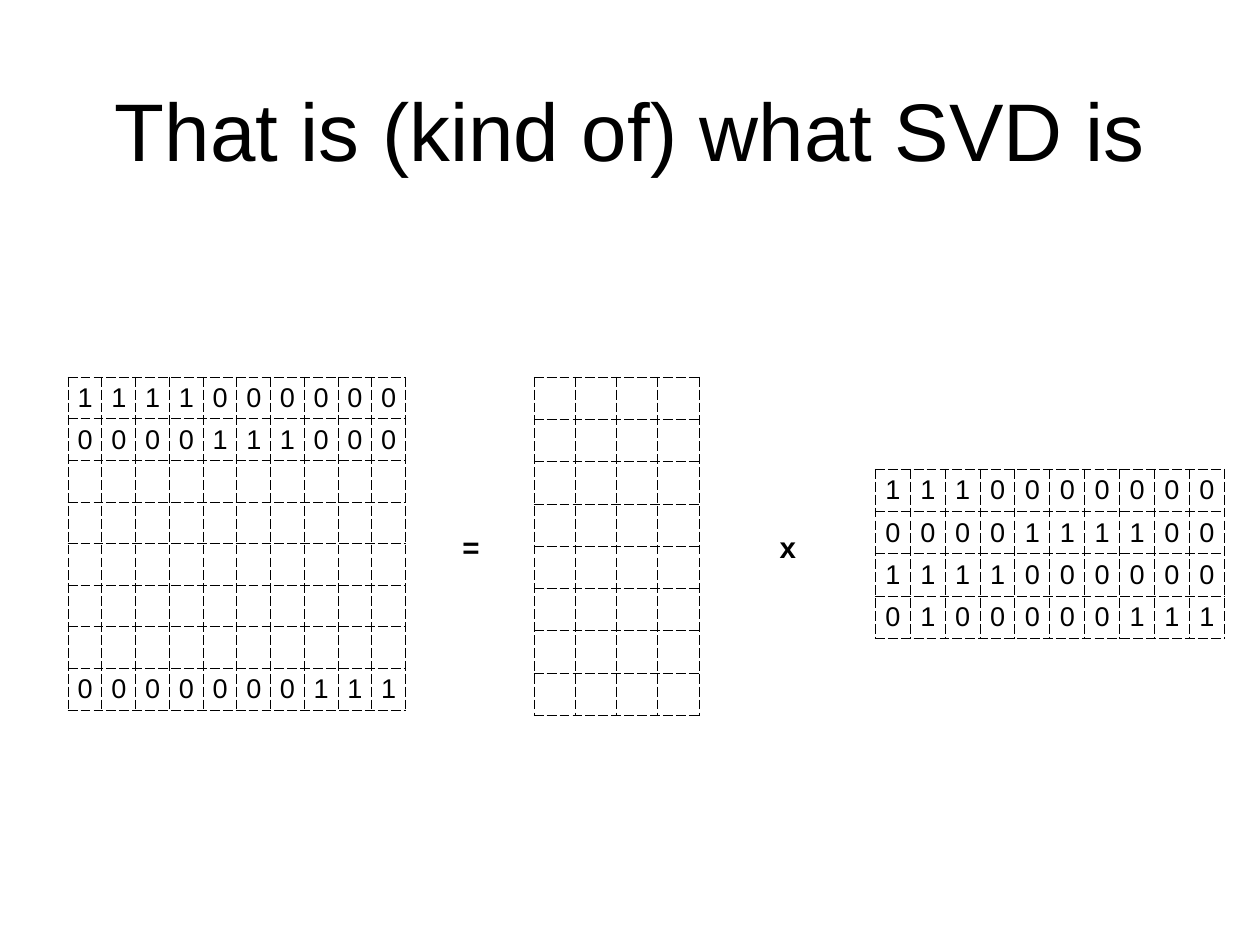
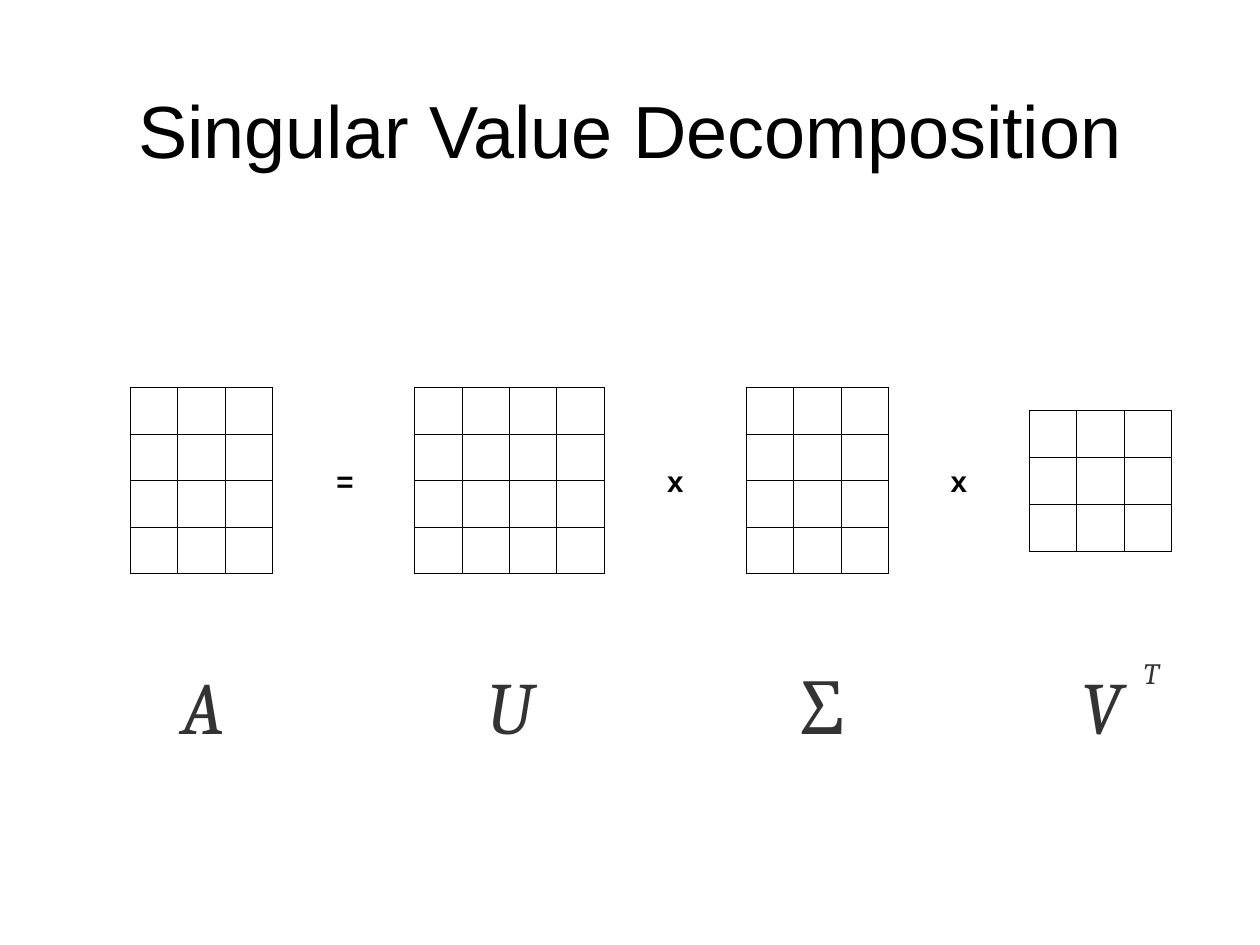
from dataclasses import dataclass

from lxml.etree import SubElement
from pptx import Presentation
from pptx.dml.color import RGBColor
from pptx.enum.text import MSO_ANCHOR, MSO_AUTO_SIZE, PP_ALIGN
from pptx.oxml.ns import qn
from pptx.util import Inches, Pt

COLORS = {"ink": "000000", "symbol": "333333"}
INSET = Inches(0.06)


@dataclass
class Matrix:
    """A grid of cells; values maps a row index to its digits."""
    left: float
    top: float
    width: float
    height: float
    rows: int
    cols: int
    values: dict[int, str] | None = None


@dataclass
class Label:
    text: str
    left: float
    top: float
    width: float
    height: float = 0.5


def put_text(tf, text: str, *, size: float, font: str = "Arial", color: str = "ink",
             bold: bool = False, italic: bool = False, align=PP_ALIGN.CENTER) -> None:
    p = tf.paragraphs[0]
    p.alignment = align
    r = p.add_run()
    r.text = text
    f = r.font
    f.name, f.size, f.bold, f.italic = font, Pt(size), bold, italic
    f.color.rgb = RGBColor.from_string(COLORS[color])


def add_label(s, label: Label, *, wrap: bool = False, **fmt) -> None:
    tf = s.shapes.add_textbox(Inches(label.left), Inches(label.top),
                              Inches(label.width), Inches(label.height)).text_frame
    tf.word_wrap = wrap
    tf.auto_size = MSO_AUTO_SIZE.NONE if wrap else MSO_AUTO_SIZE.SHAPE_TO_FIT_TEXT
    tf.vertical_anchor = MSO_ANCHOR.MIDDLE
    tf.margin_left = tf.margin_right = tf.margin_top = tf.margin_bottom = INSET
    put_text(tf, label.text, **fmt)


def set_borders(cell, dash: str) -> None:
    tc_pr = cell._tc.get_or_add_tcPr()
    for side in ("a:lnL", "a:lnR", "a:lnT", "a:lnB"):
        ln = SubElement(tc_pr, qn(side), w=str(Pt(1)))
        fill = SubElement(ln, qn("a:solidFill"))
        SubElement(fill, qn("a:srgbClr"), val=COLORS["ink"])
        SubElement(ln, qn("a:prstDash"), val=dash)


def add_matrix(s, m: Matrix, dash: str) -> None:
    table = s.shapes.add_table(m.rows, m.cols, Inches(m.left), Inches(m.top),
                               Inches(m.width), Inches(m.height)).table
    table.first_row = table.horz_banding = False
    for row in table.rows:
        row.height = Inches(m.height / m.rows)
    for col in table.columns:
        col.width = Inches(m.width / m.cols)
    for cell in table.iter_cells():
        set_borders(cell, dash)
        cell.fill.background()
        cell.vertical_anchor = MSO_ANCHOR.MIDDLE
        cell.margin_left = cell.margin_right = INSET
        cell.margin_top = cell.margin_bottom = INSET
    for i, digits in (m.values or {}).items():
        for j, digit in enumerate(digits):
            put_text(table.cell(i, j).text_frame, digit, size=22)


def add_equation(prs, title: str, title_size: float, matrices: list[Matrix],
                 operators: list[Label], dash: str):
    """Add a titled slide with matrices and the operators between them."""
    s = prs.slides.add_slide(prs.slide_layouts[6])
    add_label(s, Label(title, 1.04, 0.28, 12.14, 2.36), wrap=True, size=title_size)
    for m in matrices:
        add_matrix(s, m, dash)
    for op in operators:
        add_label(s, op, size=24, bold=True)
    return s


def main() -> None:
    prs = Presentation()
    prs.slide_width, prs.slide_height = Inches(14.22), Inches(10.67)

    add_equation(
        prs, "That is (kind of) what SVD is", 66.4,
        [Matrix(0.77, 4.26, 3.81, 3.76, 8, 10,
                {0: "1111000000", 1: "0000111000", 7: "0000000111"}),
         Matrix(6.03, 4.26, 1.86, 3.82, 8, 4),
         Matrix(9.88, 5.3, 3.94, 1.91, 4, 10,
                {0: "1110000000", 1: "0000111100", 2: "1111000000", 3: "0100000111"})],
        [Label("=", 5.15, 5.92, 0.33), Label("x", 8.74, 5.92, 0.3)],
        dash="dash")

    s = add_equation(
        prs, "Singular Value Decomposition", 60,
        [Matrix(1.47, 4.38, 1.61, 2.1, 4, 3),
         Matrix(4.68, 4.38, 2.14, 2.1, 4, 4),
         Matrix(8.42, 4.38, 1.61, 2.1, 4, 3),
         Matrix(11.62, 4.63, 1.6, 1.6, 3, 3)],
        [Label("=", 3.73, 5.18, 0.33), Label("x", 7.47, 5.18, 0.3),
         Label("x", 10.67, 5.18, 0.3)],
        dash="solid")

    symbol = dict(font="Cambria", color="symbol", align=PP_ALIGN.LEFT)
    for text, left, width in (("A", 1.99, 0.68), ("U", 5.44, 0.76),
                              ("Σ", 8.97, 0.63), ("V", 12.14, 0.68)):
        add_label(s, Label(text, left, 7.43, width, 1.06),
                  size=60, italic=text != "Σ", **symbol)
    add_label(s, Label("T", 12.85, 7.35, 0.33, 0.49), size=24, italic=True, **symbol)

    prs.save("out.pptx")


if __name__ == "__main__":
    main()
